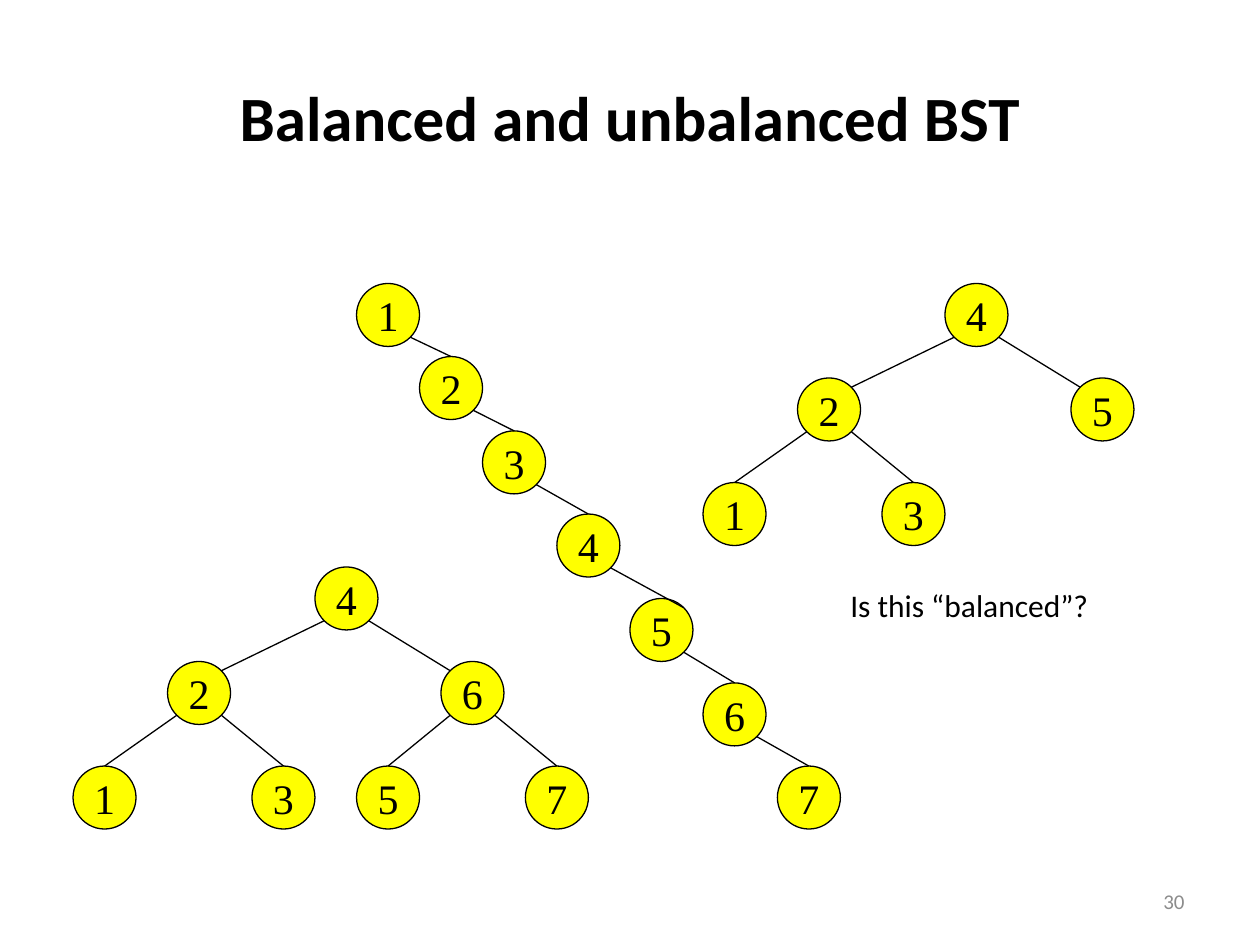
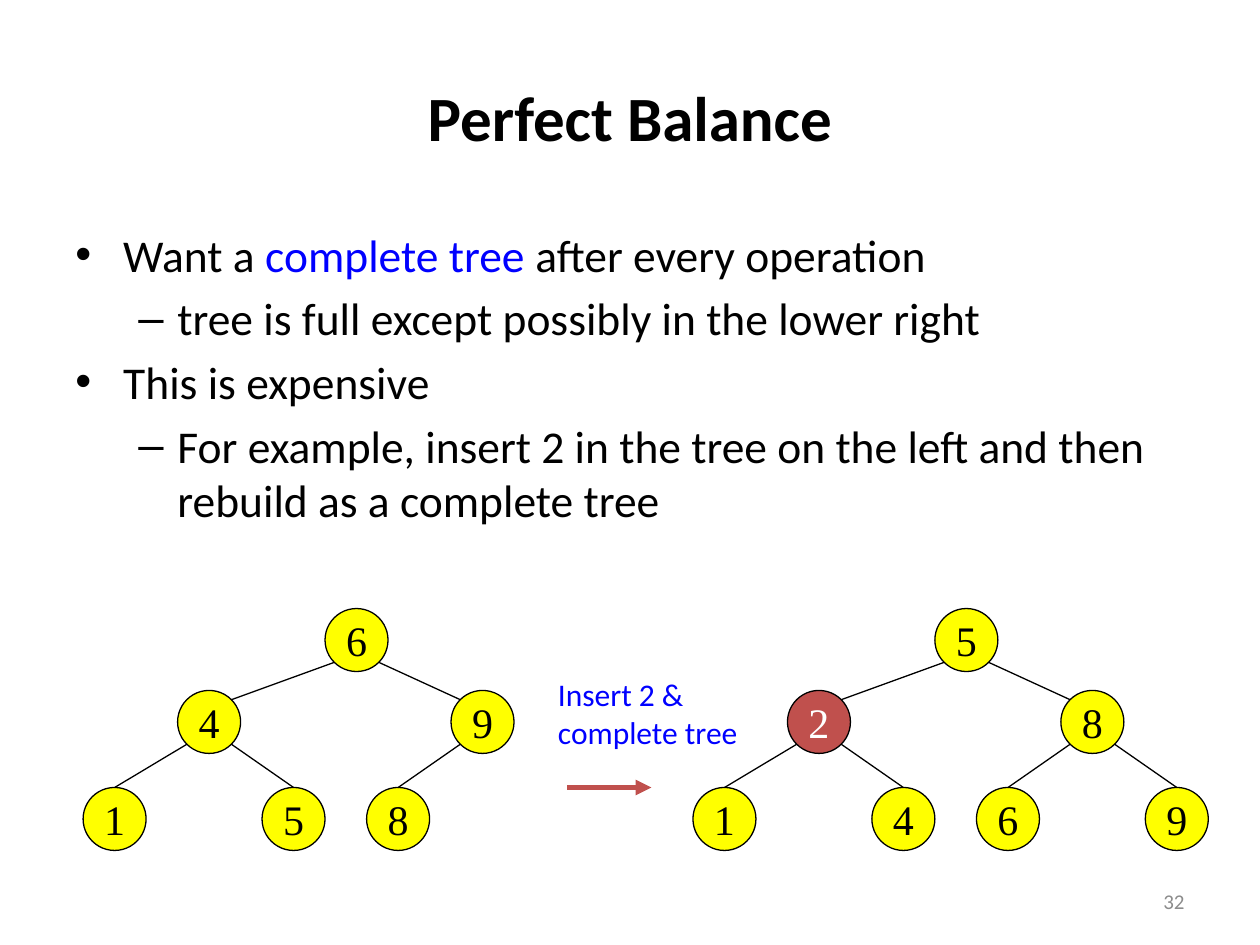
import pptx
import pptx.util
import pptx.dml.color
import pptx.enum.shapes
import pptx.enum.text
import pptx.oxml.ns
from lxml import etree

Inches, Pt = pptx.util.Inches, pptx.util.Pt
RGBColor = pptx.dml.color.RGBColor
ALIGN = pptx.enum.text.PP_ALIGN
ANCHOR = pptx.enum.text.MSO_ANCHOR
SHAPE = pptx.enum.shapes.MSO_SHAPE
qn = pptx.oxml.ns.qn

BLACK = RGBColor(0x00, 0x00, 0x00)
WHITE = RGBColor(0xFF, 0xFF, 0xFF)
YELLOW = RGBColor(0xFF, 0xFF, 0x00)
BLUE = RGBColor(0x00, 0x00, 0xFF)
RED = RGBColor(0xC0, 0x50, 0x4D)
GRAY = RGBColor(0x8C, 0x8C, 0x8C)

# Content: tree values are in level order, None marks a missing node
CHAIN = [(1, 2.83, 2.25), (2, 3.33, 2.83), (3, 3.83, 3.42), (4, 4.42, 4.08),
         (5, 5, 4.75), (6, 5.58, 5.42), (7, 6.17, 6.08)]
SIDE_ENTRY = 5  # the chain node whose edge arrives at its upper right

SLIDES = [
    dict(title="Balanced and unbalanced BST", number="30", levels=(0, 0.75, 1.58),
         trees=[dict(root=(7.5, 2.25), values=[4, 2, 5, 1, 3]),
                dict(root=(2.5, 4.5), values=[4, 2, 6, 1, 3, 5, 7])],
         chain=CHAIN,
         labels=[dict(text="Is this “balanced”?", box=(6.65, 4.6, 2.11, 0.4),
                      color=BLACK)]),
    dict(title="Perfect Balance", number="32", levels=(0, 0.65, 1.42),
         bullets=[
             (0, [("Want a ", BLACK), ("complete tree", BLUE),
                  (" after every operation", BLACK)]),
             (1, "tree is full except possibly in the lower right"),
             (0, "This is expensive"),
             (1, "For example, insert 2 in the tree on the left and then "
                 "rebuild as a complete tree")],
         trees=[dict(root=(2.58, 4.83), values=[6, 4, 9, 1, 5, 8]),
                dict(root=(7.42, 4.83), values=[5, 2, 8, 1, 4, 6, 9], inserted=2)],
         labels=[dict(text="Insert 2 &\ncomplete tree", box=(4.33, 5.31, 1.88, 0.77),
                      color=BLUE)],
         arrow=(4.5, 6.25, 5.17, 6.25)),
]

# Layout
NODE = 0.5
DIAGONAL = NODE / 2 * 0.707  # from a node's centre to its corner points
SLOTS = [0, -1.17, 1, -1.92, -0.5, 0.33, 1.67]  # x from the root, level order
BULLET_STYLES = [("•", 0.38, -0.38), ("–", 0.81, -0.31)]


def write(frame, text, font="Calibri", size=18, color=BLACK, bold=False,
          align=ALIGN.LEFT, anchor=ANCHOR.TOP, wrap=True):
    """Fill a frame; text is a string or a list of (level, string or runs)."""
    frame.word_wrap = wrap
    frame.vertical_anchor = anchor
    bulleted = not isinstance(text, str)
    lines = text if bulleted else [(0, line) for line in text.split("\n")]
    for i, (level, content) in enumerate(lines):
        paragraph = frame.paragraphs[0] if i == 0 else frame.add_paragraph()
        paragraph.alignment = align
        if bulleted:
            add_bullet(paragraph, level, size)
        runs = [(content, color)] if isinstance(content, str) else content
        for words, run_color in runs:
            run = paragraph.add_run()
            run.text = words
            run.font.name = font
            run.font.size = Pt(size)
            run.font.bold = bold
            run.font.color.rgb = run_color


def add_bullet(paragraph, level, size):
    mark, margin, indent = BULLET_STYLES[level]
    paragraph.level = level
    paragraph.space_before = Pt(size * 0.2)
    properties = paragraph._p.get_or_add_pPr()
    properties.set("marL", str(Inches(margin)))
    properties.set("indent", str(Inches(indent)))
    etree.SubElement(properties, qn("a:buFont")).set("typeface", "Arial")
    etree.SubElement(properties, qn("a:buChar")).set("char", mark)


def add_text(slide, box, text, grow=False, **style):
    frame = slide.shapes.add_textbox(*map(Inches, box)).text_frame
    write(frame, text, wrap=not grow, **style)
    if grow:
        frame.auto_size = pptx.enum.text.MSO_AUTO_SIZE.SHAPE_TO_FIT_TEXT


def add_line(slide, ends, color=BLACK, width=0.75, arrow=False):
    line = slide.shapes.add_connector(
        pptx.enum.shapes.MSO_CONNECTOR.STRAIGHT, *map(Inches, ends))
    line.line.color.rgb = color
    line.line.width = Pt(width)
    if arrow:
        etree.SubElement(line.line._get_or_add_ln(), qn("a:tailEnd")).set(
            "type", "triangle")
    etree.SubElement(line._element.spPr, qn("a:effectLst"))
    return line


def add_node(slide, value, x, y, inserted=False):
    node = slide.shapes.add_shape(
        SHAPE.OVAL, Inches(x), Inches(y), Inches(NODE), Inches(NODE))
    node.shadow.inherit = False
    node.fill.solid()
    node.fill.fore_color.rgb = RED if inserted else YELLOW
    node.line.color.rgb = BLACK
    node.line.width = Pt(0.75)
    write(node.text_frame, str(value), font="Times New Roman", size=24,
          color=WHITE if inserted else BLACK, align=ALIGN.CENTER,
          anchor=ANCHOR.MIDDLE, wrap=False)
    return node, x + NODE / 2, y + NODE / 2


def add_edge(slide, parent, child, to_top=True, entry=0):
    """Join a parent's lower corner to a child's top or upper corner."""
    (_, px, py), (child_node, cx, cy) = parent, child
    side = DIAGONAL if cx > px else -DIAGONAL
    edge = add_line(slide, (px + side, py + DIAGONAL,
                            cx + entry * DIAGONAL, cy - DIAGONAL))
    if to_top:
        edge.end_connect(child_node, 0)


def add_tree(slide, root, values, levels, inserted=None):
    x, y = root
    nodes = [add_node(slide, value, x + SLOTS[i],
                      y + levels[(i + 1).bit_length() - 1], value == inserted)
             for i, value in enumerate(values)]
    for i in range(1, len(nodes)):
        add_edge(slide, nodes[(i - 1) // 2], nodes[i], to_top=i > 2,
                 entry=1 if i == 1 else -1)


def add_chain(slide, chain):
    nodes = [add_node(slide, *step) for step in chain]
    for i in range(1, len(nodes)):
        add_edge(slide, nodes[i - 1], nodes[i],
                 to_top=chain[i][0] != SIDE_ENTRY, entry=1)


def build_slide(deck, content):
    slide = deck.slides.add_slide(deck.slide_layouts[6])
    # Shared title and page number
    add_text(slide, (0.5, 0.3, 9, 1.25), content["title"], size=36, bold=True,
             align=ALIGN.CENTER, anchor=ANCHOR.MIDDLE)
    add_text(slide, (7.17, 6.95, 2.33, 0.4), content["number"], size=12,
             color=GRAY, align=ALIGN.RIGHT, anchor=ANCHOR.MIDDLE)
    # Body
    if "bullets" in content:
        add_text(slide, (0.5, 1.75, 9, 4.95), content["bullets"], size=26)
    for label in content["labels"]:
        add_text(slide, label["box"], label["text"], grow=True,
                 color=label["color"])
    # Trees
    for tree in content["trees"]:
        add_tree(slide, levels=content["levels"], **tree)
    if "chain" in content:
        add_chain(slide, content["chain"])
    if "arrow" in content:
        add_line(slide, content["arrow"], color=RED, width=3, arrow=True)


def main():
    deck = pptx.Presentation()
    deck.slide_width, deck.slide_height = Inches(10), Inches(7.5)
    for content in SLIDES:
        build_slide(deck, content)
    deck.save("out.pptx")


if __name__ == "__main__":
    main()
